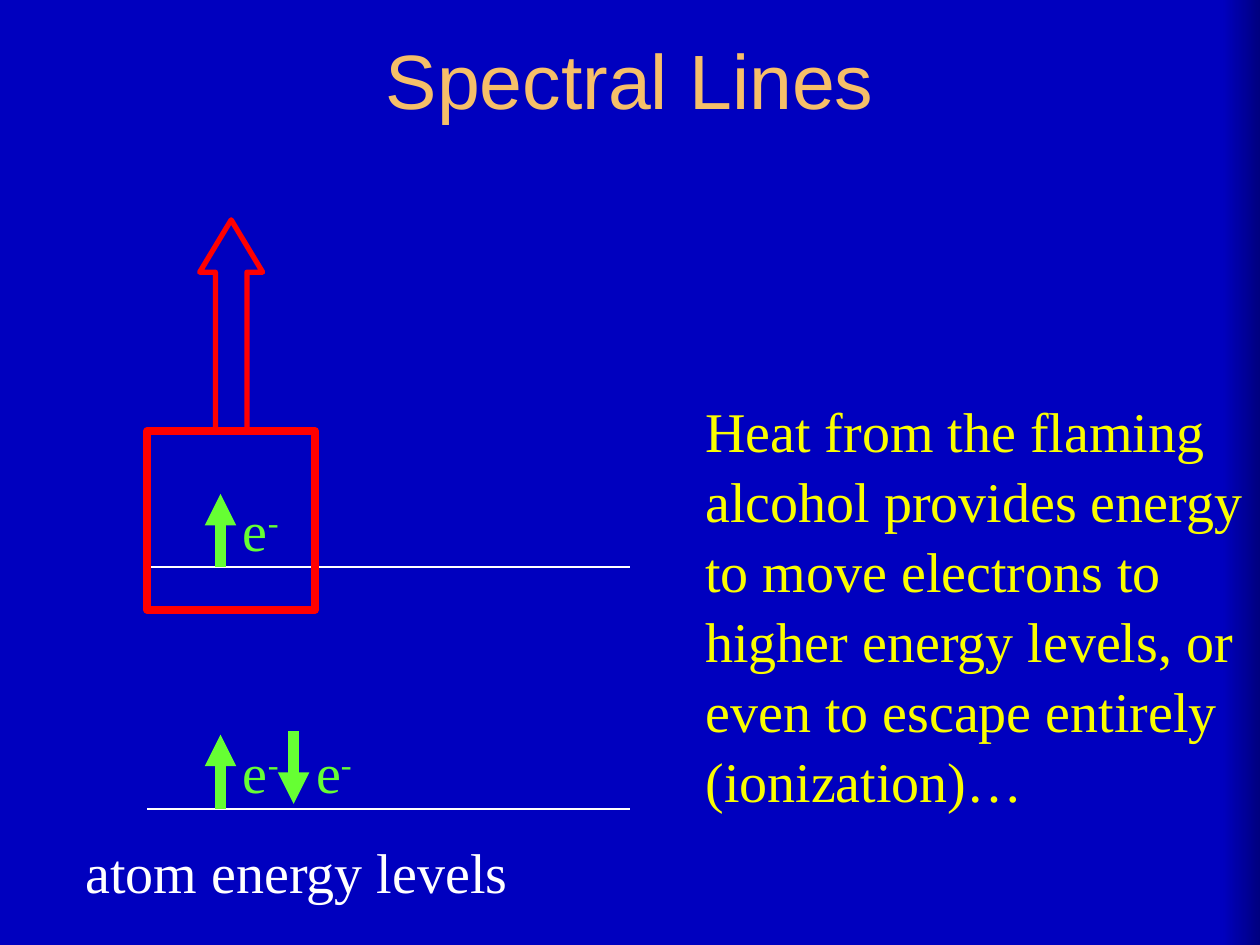
from lxml import etree
from pptx import Presentation
from pptx.dml.color import RGBColor
from pptx.enum import shapes, text
from pptx.oxml.ns import qn
from pptx.util import Inches, Pt

THEME = {
    "title": "F6BF69", "label": "FFFFFF", "note": "FAFD00",
    "electron": "66FF33", "escape": "FF0000",
    "background": [(0.97, "0000BF"), (1, "00007F")],
    "title_font": "Arial", "body_font": "Times New Roman",
    "title_size": 44, "body_size": 32, "line_spacing": 1.04,
}

TITLE = "Spectral Lines"
NOTE = ("Heat from the flaming alcohol provides energy to move electrons to "
        "higher energy levels, or even to escape entirely (ionization)…")
CAPTION = "atom energy levels"

LEVEL_LEFT, LEVEL_RIGHT = 1.17, 5
LEVELS = {"ground": 6.42, "excited": 4.5}
# level, x, arrow start and end above the level
ELECTRONS = [
    ("ground", 1.75, 0, 0.59),
    ("excited", 1.75, 0, 0.58),
    ("ground", 2.33, 0.62, 0.04),
]


def color(name):
    return RGBColor.from_string(THEME[name])


def add_run(paragraph, words, color_name, font="body", superscript=False):
    run = paragraph.add_run()
    run.text = words
    run.font.name = THEME[font + "_font"]
    run.font.size = Pt(THEME[font + "_size"])
    run.font.color.rgb = color(color_name)
    if superscript:
        run.font._element.set("baseline", "30000")


def add_text(slide, box, runs, color_name):
    """Add a wrapped text box; runs are (words, superscript) pairs."""
    frame = slide.shapes.add_textbox(*map(Inches, box)).text_frame
    frame.word_wrap = True
    paragraph = frame.paragraphs[0]
    paragraph.line_spacing = THEME["line_spacing"]
    for words, superscript in runs:
        add_run(paragraph, words, color_name, superscript=superscript)


def add_line(slide, start, end, color_name, width, arrow=False):
    line = slide.shapes.add_connector(
        shapes.MSO_CONNECTOR.STRAIGHT, *map(Inches, (*start, *end)))
    line.line.color.rgb = color(color_name)
    line.line.width = Pt(width)
    if arrow:
        etree.SubElement(line.line._get_or_add_ln(), qn("a:tailEnd"), type="triangle")
    etree.SubElement(line._element.spPr, qn("a:effectLst"))


def add_outline(slide, kind, box, width):
    outline = slide.shapes.add_shape(kind, *map(Inches, box))
    outline.shadow.inherit = False
    outline.fill.background()
    outline.line.color.rgb = color("escape")
    outline.line.width = Pt(width)
    return outline


def set_background(slide):
    fill = slide.background.fill
    fill.gradient()
    fill.gradient_angle = 0
    for stop, (position, shade) in zip(fill.gradient_stops, THEME["background"]):
        stop.position = position
        stop.color.rgb = RGBColor.from_string(shade)


def add_title(slide):
    title = slide.shapes.title
    title.left, title.top, title.width, title.height = map(Inches, (0.75, 0, 8.5, 1.25))
    title.text_frame.vertical_anchor = text.MSO_ANCHOR.MIDDLE
    paragraph = title.text_frame.paragraphs[0]
    paragraph.alignment = text.PP_ALIGN.CENTER
    add_run(paragraph, TITLE, "title", "title")


def main():
    deck = Presentation()
    deck.slide_width, deck.slide_height = Inches(10), Inches(7.5)
    slide = deck.slides.add_slide(deck.slide_layouts[5])
    set_background(slide)
    add_title(slide)

    for y in LEVELS.values():
        add_line(slide, (LEVEL_LEFT, y), (LEVEL_RIGHT, y), "label", 1)
    add_text(slide, (0.58, 6.58, 4.92, 0.63), [(CAPTION, False)], "label")
    add_text(slide, (5.5, 3.08, 4.5, 3.3), [(NOTE, False)], "note")

    for level, x, start, end in ELECTRONS:
        y = LEVELS[level]
        add_line(slide, (x, y - start), (x, y - end), "electron", 6, arrow=True)
        add_text(slide, (x + 0.08, y - 0.64, 0.75, 0.63),
                 [("e", False), ("-", True)], "electron")

    add_outline(slide, shapes.MSO_SHAPE.RECTANGLE, (LEVEL_LEFT, 3.42, 1.33, 1.42), 4.5)
    escape = add_outline(slide, shapes.MSO_SHAPE.RIGHT_ARROW, (1, 2.33, 1.67, 0.5), 3)
    escape.adjustments[1] = 0.83
    escape.rotation = 270

    deck.save("out.pptx")


if __name__ == "__main__":
    main()
